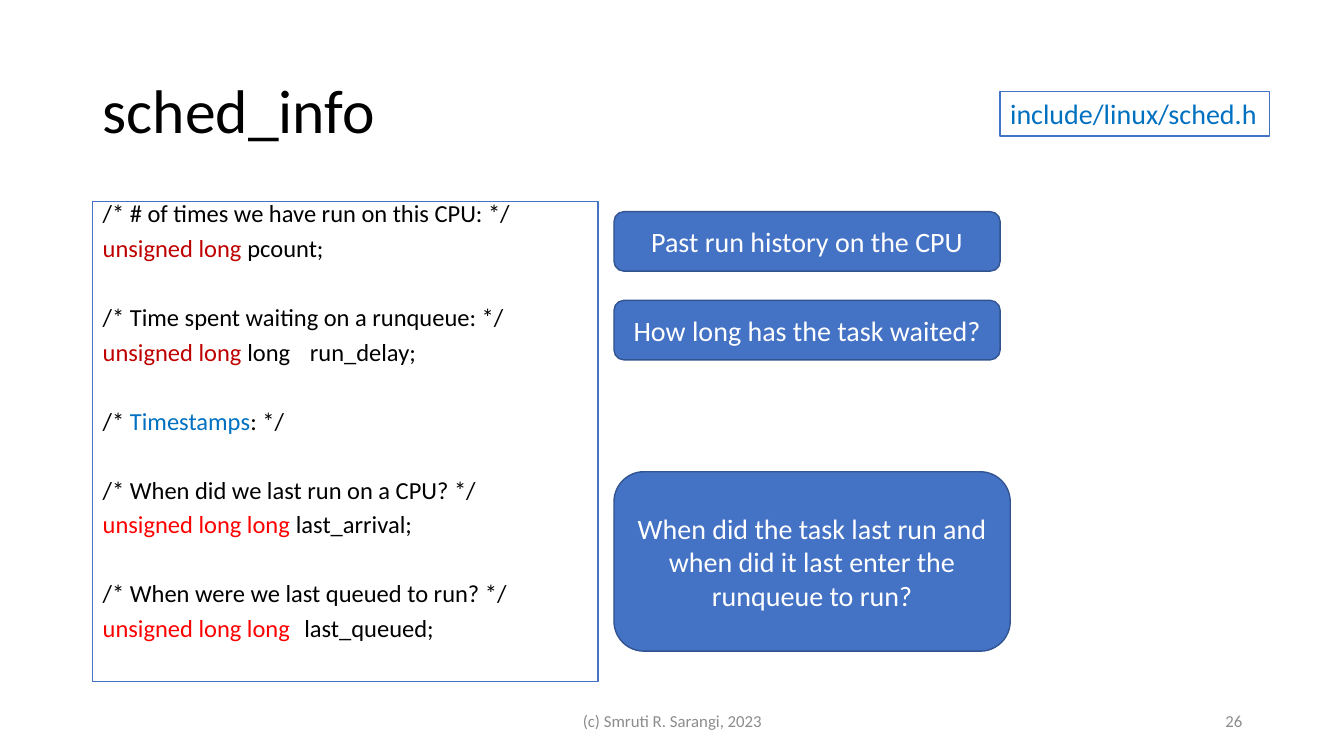
"""Build the sched_info slide: a struct listing with explanatory callouts."""
from pptx import Presentation
from pptx import util as u
from pptx.dml.color import RGBColor
from pptx.enum import shapes, text

COLORS = {"black": "000000", "white": "FFFFFF", "blue": "4472C4", "edge": "325491",
          "link": "0070C0", "dark_red": "C00000", "red": "FF0000", "gray": "8C8C8C"}
FONT = "Calibri"
WIDTH, HEIGHT = 13.33, 7.5
COLUMNS = {"code": 0.92, "callout": 6.09, "header": 9.92, "footer": 4.42, "number": 9.42}
ROWS = {"title": 0.4, "header": 0.91, "body": 2, "footer": 6.95}

CODE_SIZE, CODE_SPACING, CODE_GAP, BLANK_LINE = 17.5, 0.7, 10, 24.6
CODE_BLOCKS = [
    [[("/* # of times we have run on this CPU: */", "black")],
     [("unsigned long ", "dark_red"), ("pcount;", "black")]],
    [[("/* Time spent waiting on a runqueue: */", "black")],
     [("unsigned long ", "dark_red"), ("long\t run_delay;", "black")]],
    [[("/* ", "black"), ("Timestamps", "link"), (": */", "black")]],
    [[("/* When did we last run on a CPU? */", "black")],
     [("unsigned long long ", "red"), ("last_arrival;", "black")]],
    [[("/* When were we last queued to run? */", "black")],
     [("unsigned long long\t", "red"), ("last_queued;", "black")]],
]
CALLOUTS = [
    ("Past run history on the CPU", 2.1, 3.83, 0.59),
    ("How long has the task waited?", 2.98, 3.83, 0.59),
    ("When did the task last run and when did it last enter the runqueue to run?",
     4.68, 3.93, 1.78),
]
LEFT, CENTER, RIGHT = text.PP_ALIGN.LEFT, text.PP_ALIGN.CENTER, text.PP_ALIGN.RIGHT
TOP, MIDDLE = text.MSO_ANCHOR.TOP, text.MSO_ANCHOR.MIDDLE
RECTANGLE = shapes.MSO_SHAPE.RECTANGLE
ROUNDED = shapes.MSO_SHAPE.ROUNDED_RECTANGLE


def color(name):
    return RGBColor.from_string(COLORS[name])


def add_box(slide, box, kind=None, fill="white", line="blue", anchor=MIDDLE, wrap=True):
    position = [u.Inches(length) for length in box]
    if kind is None:
        shape = slide.shapes.add_textbox(*position)
    else:
        shape = slide.shapes.add_shape(kind, *position)
        shape.shadow.inherit = False
        shape.fill.solid()
        shape.fill.fore_color.rgb = color(fill)
        shape.line.color.rgb = color(line)
        shape.line.width = u.Pt(1)
    shape.text_frame.word_wrap = wrap
    shape.text_frame.vertical_anchor = anchor
    return shape.text_frame


def write(paragraph, runs, size, align=LEFT):
    paragraph.alignment = align
    for words, name in runs:
        run = paragraph.add_run()
        run.text = words
        run.font.name = FONT
        run.font.size = u.Pt(size)
        run.font.color.rgb = color(name)


def add_code(slide):
    frame = add_box(slide, (COLUMNS["code"], ROWS["body"], 5.01, 4.76), RECTANGLE, anchor=TOP)
    for block_index, block in enumerate(CODE_BLOCKS):
        for line_index, runs in enumerate(block):
            first = block_index == line_index == 0
            paragraph = frame.paragraphs[0] if first else frame.add_paragraph()
            paragraph.line_spacing = CODE_SPACING
            if not first:
                gap = CODE_GAP if line_index else CODE_GAP + BLANK_LINE
                paragraph.space_before = u.Pt(gap)
            write(paragraph, runs, CODE_SIZE)


def main():
    presentation = Presentation()
    presentation.slide_width = u.Inches(WIDTH)
    presentation.slide_height = u.Inches(HEIGHT)
    slide = presentation.slides.add_slide(presentation.slide_layouts[6])

    title = add_box(slide, (COLUMNS["code"], ROWS["title"], 11.5, 1.45)).paragraphs[0]
    title.line_spacing = 0.9
    write(title, [("sched_info", "black")], 44)

    add_code(slide)
    header = add_box(slide, (COLUMNS["header"], ROWS["header"], 2.67, 0.44), RECTANGLE,
                     anchor=TOP, wrap=False)
    write(header.paragraphs[0], [("include/linux/sched.h", "link")], 20)

    for words, top, width, height in CALLOUTS:
        frame = add_box(slide, (COLUMNS["callout"], top, width, height), ROUNDED, "blue", "edge")
        write(frame.paragraphs[0], [(words, "white")], 20, CENTER)

    for words, column, width, align in [("26", "number", 3, RIGHT),
                                        ("(c) Smruti R. Sarangi, 2023", "footer", 4.5, CENTER)]:
        frame = add_box(slide, (COLUMNS[column], ROWS["footer"], width, 0.4))
        write(frame.paragraphs[0], [(words, "gray")], 12, align)

    presentation.save("out.pptx")


if __name__ == "__main__":
    main()
